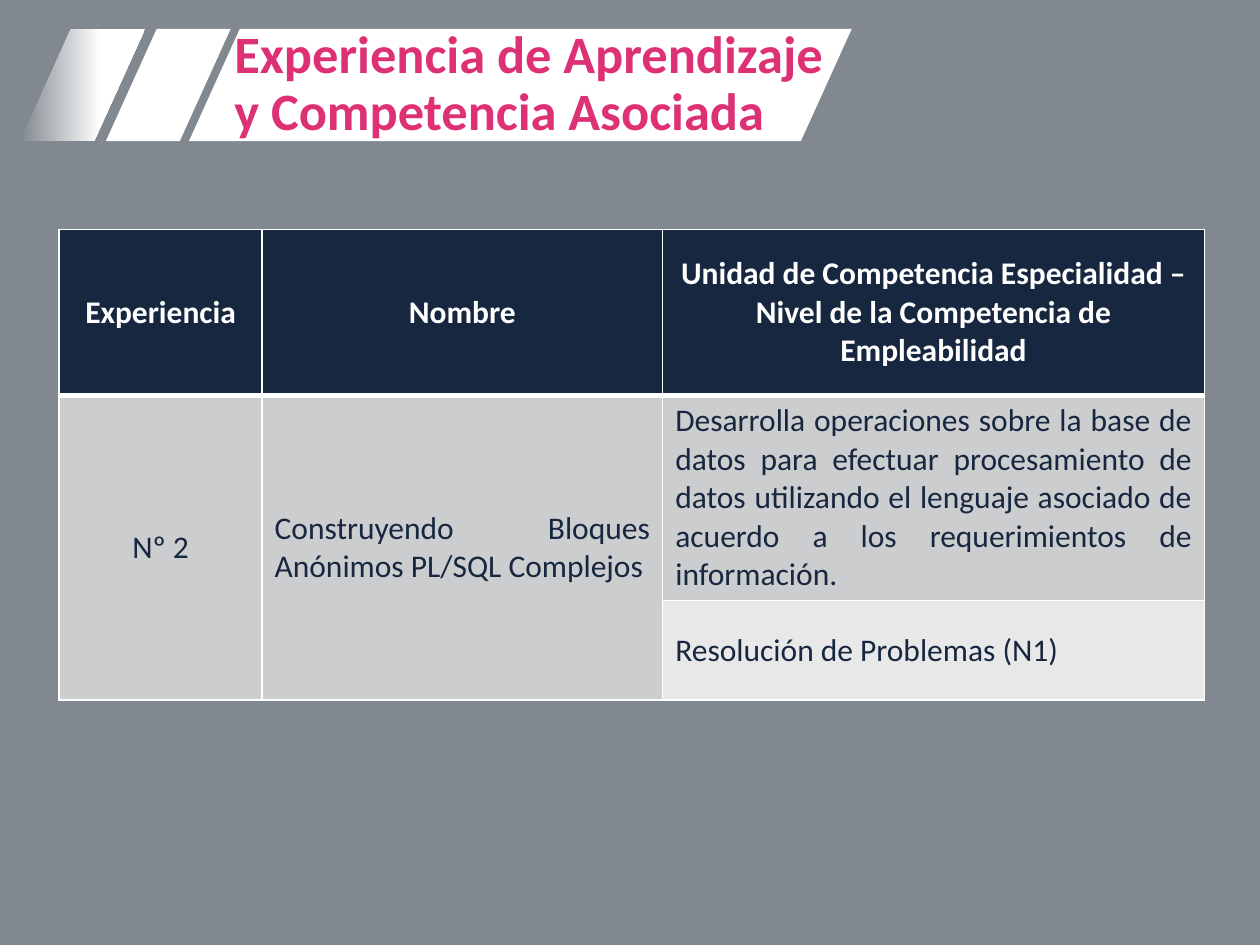
from lxml.etree import SubElement
from pptx import Presentation
from pptx.dml.color import RGBColor
from pptx.enum.shapes import MSO_SHAPE
from pptx.enum.text import MSO_ANCHOR, MSO_AUTO_SIZE, PP_ALIGN
from pptx.oxml.ns import qn
from pptx.util import Inches, Pt

GRAY = RGBColor(0x81, 0x88, 0x8F)
WHITE = RGBColor(0xFF, 0xFF, 0xFF)
NAVY = RGBColor(0x17, 0x27, 0x40)
PINK = RGBColor(0xDE, 0x30, 0x75)
BAND_DARK = RGBColor(0xCC, 0xCD, 0xCF)
BAND_LIGHT = RGBColor(0xE8, 0xE8, 0xE8)
FONT = "Calibri"

COL_WIDTHS = [1.61, 3.18, 4.3]
ROW_HEIGHTS = [1.32, 1.61, 0.79]
ROW_FILLS = [NAVY, BAND_DARK, BAND_LIGHT]
HEADERS = [
    "Experiencia",
    "Nombre",
    "Unidad de Competencia Especialidad – Nivel de la Competencia de Empleabilidad",
]
BODY = [
    (1, 0, "Nº 2", PP_ALIGN.CENTER),
    (1, 1, "Construyendo Bloques Anónimos PL/SQL Complejos", PP_ALIGN.JUSTIFY),
    (1, 2, "Desarrolla operaciones sobre la base de datos para efectuar "
           "procesamiento de datos utilizando el lenguaje asociado de acuerdo "
           "a los requerimientos de información.", PP_ALIGN.JUSTIFY),
    (2, 2, "Resolución de Problemas (N1)", PP_ALIGN.JUSTIFY),
]


def add_run(p, text, size, color, bold=False):
    r = p.add_run()
    r.text = text
    r.font.name = FONT
    r.font.size = Pt(size)
    r.font.bold = bold
    r.font.color.rgb = color


def add_stripe(s, left, width, faded=False):
    sp = s.shapes.add_shape(MSO_SHAPE.PARALLELOGRAM, Inches(left), Inches(0.23),
                            Inches(width), Inches(0.89))
    sp.adjustments[0] = 0.453
    sp.shadow.inherit = False
    sp.line.fill.background()
    if faded:
        sp.fill.gradient()
        sp.fill.gradient_angle = 0
        for stop, color, position in zip(sp.fill.gradient_stops, (GRAY, WHITE), (0, 0.65)):
            stop.color.rgb = color
            stop.position = position
    else:
        sp.fill.solid()
        sp.fill.fore_color.rgb = WHITE


def add_title(s, lines):
    title = s.shapes.title
    title.left, title.top = Inches(1.76), Inches(0.23)
    title.width, title.height = Inches(5.02), Inches(0.89)
    s.shapes._spTree.append(title._element)  # bring in front of the stripes
    tf = title.text_frame
    tf.word_wrap = True
    tf.auto_size = MSO_AUTO_SIZE.NONE
    tf.vertical_anchor = MSO_ANCHOR.MIDDLE
    p = tf.paragraphs[0]
    p.alignment = PP_ALIGN.LEFT
    p.line_spacing = 0.9
    for i, line in enumerate(lines):
        if i:
            p.add_line_break()
        add_run(p, line, 30, PINK, bold=True)


def set_borders(cell, top, bottom):
    tc_pr = cell._tc.get_or_add_tcPr()
    for i, (side, width) in enumerate([("L", 1), ("R", 1), ("T", top), ("B", bottom)]):
        ln = SubElement(tc_pr, qn(f"a:ln{side}"), w=str(Pt(width)))
        fill = SubElement(ln, qn("a:solidFill"))
        SubElement(fill, qn("a:srgbClr"), val=str(WHITE))
        tc_pr.insert(i, ln)  # borders come before the cell fill


def write_cell(cell, text, align, color, bold=False):
    p = cell.text_frame.paragraphs[0]
    p.alignment = align
    add_run(p, text, 18, color, bold)


def add_competence_table(s):
    table = s.shapes.add_table(len(ROW_HEIGHTS), len(COL_WIDTHS), Inches(0.47), Inches(1.82),
                               Inches(sum(COL_WIDTHS)), Inches(sum(ROW_HEIGHTS))).table
    for col, width in zip(table.columns, COL_WIDTHS):
        col.width = Inches(width)
    for row, height in zip(table.rows, ROW_HEIGHTS):
        row.height = Inches(height)

    # Experience and name span both competence rows
    for c in (0, 1):
        table.cell(1, c).merge(table.cell(2, c))

    # Fills and rules, with a heavier rule below the header
    for r, color in enumerate(ROW_FILLS):
        for cell in table.rows[r].cells:
            cell.fill.solid()
            cell.fill.fore_color.rgb = color
            cell.vertical_anchor = MSO_ANCHOR.MIDDLE
            set_borders(cell, top=3 if r == 1 else 1, bottom=3 if r == 0 else 1)

    for c, text in enumerate(HEADERS):
        write_cell(table.cell(0, c), text, PP_ALIGN.CENTER, WHITE, bold=True)
    for r, c, text, align in BODY:
        write_cell(table.cell(r, c), text, align, NAVY)


def main():
    prs = Presentation()
    prs.slide_width, prs.slide_height = Inches(10), Inches(7.5)
    s = prs.slides.add_slide(prs.slide_layouts[5])
    s.background.fill.solid()
    s.background.fill.fore_color.rgb = GRAY

    # Title banner
    add_stripe(s, 0.84, 0.99)
    add_stripe(s, 0.16, 0.99, faded=True)
    add_stripe(s, 1.5, 5.26)

    add_competence_table(s)
    add_title(s, ["Experiencia de Aprendizaje", "y Competencia Asociada"])
    prs.save("out.pptx")


if __name__ == "__main__":
    main()
